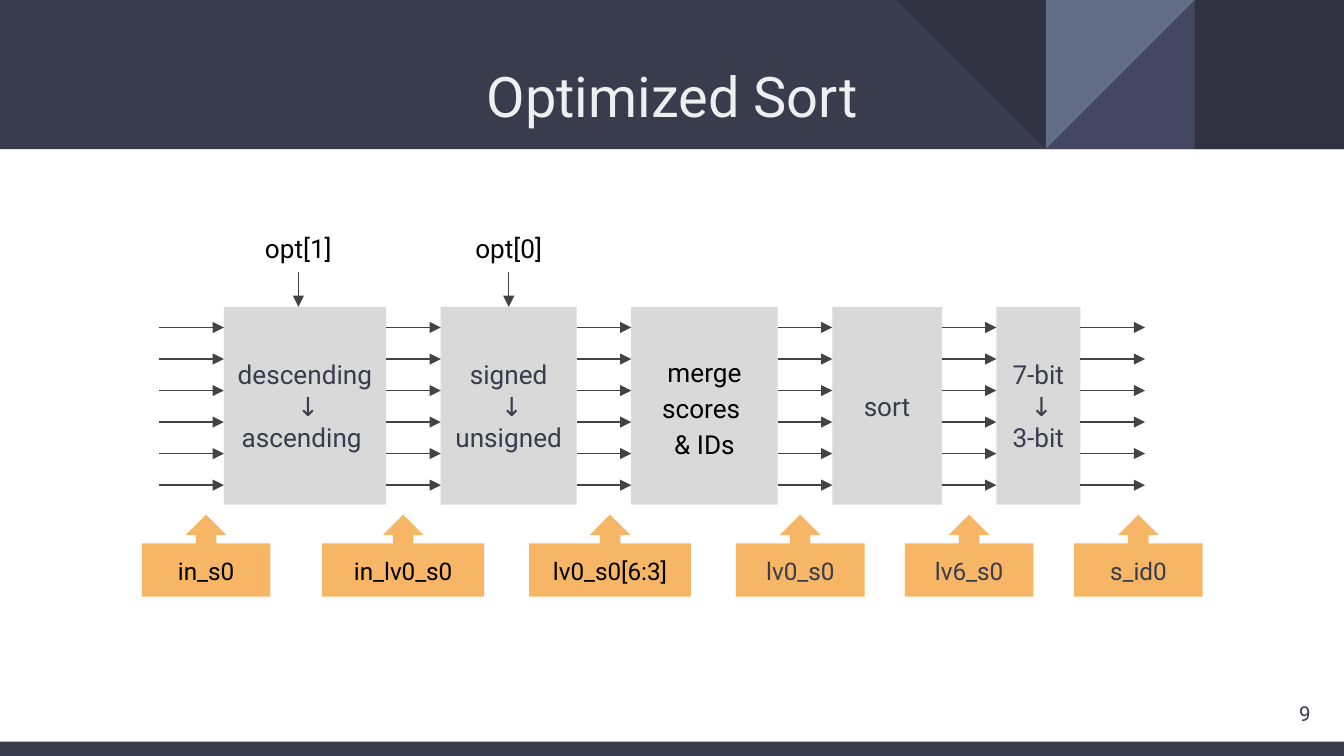
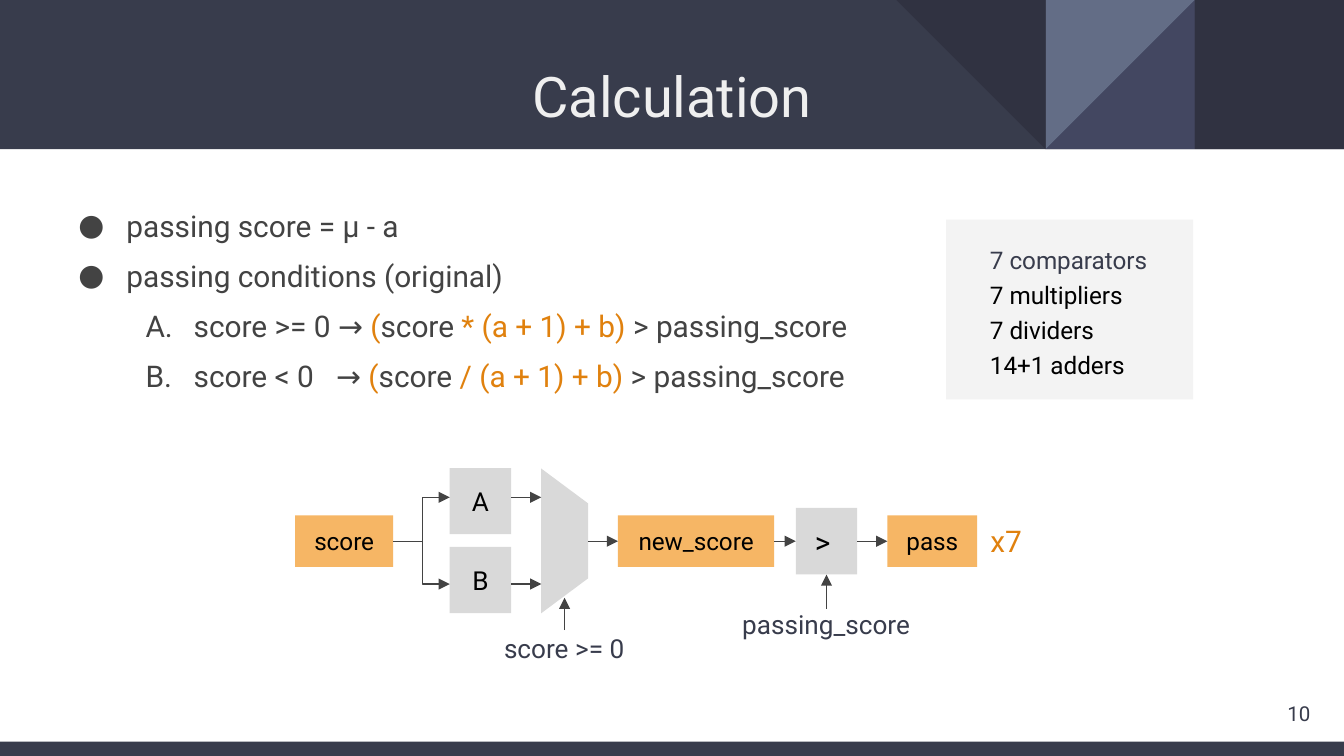
from dataclasses import dataclass
from typing import Optional

from lxml import etree
from pptx import Presentation
from pptx.dml.color import RGBColor
from pptx.enum import shapes, text
from pptx.oxml import ns
from pptx.util import Cm, Pt

FONT = "Roboto"
NAVY, DARK, PURPLE, STEEL = "383C4C", "303241", "434761", "636D86"
ORANGE, ACCENT, GREY, PALE = "F6B665", "E0810E", "D9D9D9", "F3F3F3"
INK, BLACK, TITLE = "434343", "000000", "EFEFEF"
WIDTH, HEIGHT, BAND = 25.4, 14.29, 2.82
KIND = shapes.MSO_SHAPE
CENTER, LEFT, RIGHT = text.PP_ALIGN.CENTER, text.PP_ALIGN.LEFT, text.PP_ALIGN.RIGHT
TOP, MIDDLE = text.MSO_ANCHOR.TOP, text.MSO_ANCHOR.MIDDLE
SIDE_TOP, SIDE_LEFT, SIDE_BOTTOM, SIDE_RIGHT = range(4)


@dataclass
class Box:
    """Place in centimetres."""
    left: float
    top: float
    width: float
    height: float

    @property
    def right(self) -> float:
        return self.left + self.width

    @property
    def bottom(self) -> float:
        return self.top + self.height

    @property
    def center(self) -> float:
        return self.left + self.width / 2

    @property
    def middle(self) -> float:
        return self.top + self.height / 2

    def lengths(self) -> tuple:
        return Cm(self.left), Cm(self.top), Cm(self.width), Cm(self.height)


@dataclass
class Style:
    size: float = 14
    color: str = BLACK
    align: int = CENTER
    anchor: int = MIDDLE
    spacing: float = 1.0


@dataclass
class Stage:
    lines: list
    width: float
    style: Style


@dataclass
class Signal:
    label: str
    left: float
    width: float
    color: str


@dataclass
class Option:
    label: str
    x: float


def rgb(color: str) -> RGBColor:
    return RGBColor.from_string(color)


def sub(parent, tag: str, **attributes: str):
    return etree.SubElement(parent, ns.qn(tag), attributes)


# Text and shapes
def set_font(font, size: float, color: str) -> None:
    font.name, font.size = FONT, Pt(size)
    font.color.rgb = rgb(color)


def write(shape, lines: list, style: Style) -> None:
    frame = shape.text_frame
    frame.word_wrap = True
    frame.auto_size = text.MSO_AUTO_SIZE.NONE
    frame.vertical_anchor = style.anchor
    frame.margin_left = frame.margin_right = Cm(0.25)
    frame.margin_top = frame.margin_bottom = Cm(0.25)
    for i, line in enumerate(lines):
        paragraph = frame.add_paragraph() if i else frame.paragraphs[0]
        paragraph.text = line
        paragraph.alignment = style.align
        paragraph.line_spacing = style.spacing
        set_font(paragraph.font, style.size, style.color)


def add_block(slide, kind: int, box: Box, fill: Optional[str],
              lines: Optional[list] = None, style: Optional[Style] = None):
    shape = slide.shapes.add_shape(kind, *box.lengths())
    shape.shadow.inherit = False
    if fill:
        shape.fill.solid()
        shape.fill.fore_color.rgb = rgb(fill)
        shape.line.fill.background()
    else:
        shape.fill.background()
        shape.line.color.rgb = rgb(INK)
        shape.line.width = Pt(0.75)
    if lines:
        write(shape, lines, style or Style())
    return shape


def add_label(slide, box: Box, label: str, style: Style) -> None:
    write(slide.shapes.add_textbox(*box.lengths()), [label], style)


def add_line(slide, start: tuple, end: tuple, head: bool = True,
             begin_at: Optional[tuple] = None, end_at: Optional[tuple] = None) -> None:
    line = slide.shapes.add_connector(shapes.MSO_CONNECTOR.STRAIGHT,
                                      *(Cm(v) for v in start + end))
    if begin_at:
        line.begin_connect(*begin_at)
    if end_at:
        line.end_connect(*end_at)
    line.line.color.rgb = rgb(INK)
    line.line.width = Pt(0.75)
    properties = line.element.spPr
    if head:
        sub(properties.find(ns.qn("a:ln")), "a:tailEnd", type="triangle")
    sub(properties, "a:effectLst")


# Shared look
def decorate_master(prs, slide) -> None:
    """Draw bands and corner pattern, then hand them to the master."""
    def square(columns: int) -> Box:
        return Box(WIDTH - columns * BAND, 0, BAND, BAND)

    pattern = [
        (KIND.RECTANGLE, Box(0, 0, WIDTH, BAND), NAVY, 0),
        (KIND.RECTANGLE, square(1), DARK, 0),
        (KIND.RIGHT_TRIANGLE, square(2), PURPLE, 270),
        (KIND.RIGHT_TRIANGLE, square(2), STEEL, 90),
        (KIND.RIGHT_TRIANGLE, square(3), DARK, 180),
        (KIND.RECTANGLE, Box(0, 14.02, WIDTH, 0.27), NAVY, 0),
    ]
    tree = prs.slide_master.shapes.element
    for i, (kind, box, fill, turn) in enumerate(pattern):
        part = add_block(slide, kind, box, fill)
        part.rotation = turn
        part.element.nvSpPr.cNvPr.set("id", str(100 + i))
        tree.insert(2 + i, part.element)


def place(placeholder, box: Box) -> None:
    (placeholder.left, placeholder.top,
     placeholder.width, placeholder.height) = box.lengths()


def start_slide(prs, layout: int, title: str, number: int):
    slide = prs.slides.add_slide(prs.slide_layouts[layout])
    place(slide.shapes.title, Box(0.87, 0.92, 23.67, 1.92))
    write(slide.shapes.title, [title], Style(30, TITLE, anchor=TOP))
    add_label(slide, Box(23.5, 12.93, 1.52, 1.09), str(number),
              Style(11, NAVY, RIGHT))
    return slide


# Slide: sorting pipeline
def build_sort(prs) -> None:
    slide = start_slide(prs, 5, "Optimized Sort", 9)
    decorate_master(prs, slide)
    gap, end_gap, stage_top, stage_height = 1.03, 1.22, 5.8, 3.74
    plain = Style(color=NAVY)
    stages = [
        Stage(["descending", " ↓", "ascending "], 3.07, plain),
        Stage(["signed", " ↓", "unsigned"], 2.57, plain),
        Stage(["merge", "scores ", "& IDs"], 2.77, Style(spacing=1.15)),
        Stage(["sort"], 2.07, plain),
        Stage(["7-bit", " ↓", "3-bit"], 1.59, plain),
    ]
    boxes, blocks, left = [], [], 4.23
    for stage in stages:
        box = Box(left, stage_top, stage.width, stage_height)
        blocks.append(add_block(slide, KIND.RECTANGLE, box, GREY,
                                stage.lines, stage.style))
        boxes.append(box)
        left = box.right + gap

    # Six data lanes through all stages
    starts = [boxes[0].left - end_gap] + [box.right for box in boxes]
    ends = [box.left for box in boxes] + [boxes[-1].right + end_gap]
    for start, end in zip(starts, ends):
        for lane in range(6):
            y = 6.19 + lane * 2.98 / 5
            add_line(slide, (start, y), (end, y))

    # Option inputs
    signed = boxes[1].center
    for option in (Option("opt[1]", 5.64), Option("opt[0]", signed)):
        joined = (blocks[1], SIDE_TOP) if option.x == signed else None
        add_line(slide, (option.x, 5.14), (option.x, stage_top), end_at=joined)
        add_label(slide, Box(option.x - 1.04, 4.14, 2.08, 1.12),
                  option.label, Style(anchor=TOP))

    # Signal names
    for signal in (
        Signal("in_s0", 2.68, 2.43, BLACK),
        Signal("in_lv0_s0", 6.09, 3.06, BLACK),
        Signal("lv0_s0[6:3]", 10, 3.06, BLACK),
        Signal("lv0_s0", 13.91, 2.43, NAVY),
        Signal("lv6_s0", 17.1, 2.43, NAVY),
        Signal("s_id0", 20.3, 2.43, NAVY),
    ):
        callout = add_block(slide, KIND.UP_ARROW_CALLOUT,
                            Box(signal.left, 9.73, signal.width, 1.55), ORANGE,
                            [signal.label], Style(13, signal.color, anchor=TOP))
        for i, value in enumerate((0.25, 0.25, 0.25, 0.65)):
            callout.adjustments[i] = value


# Slide: passing score
def write_conditions(body) -> None:
    place(body, Box(0.87, 3.4, 23.67, 4.45))
    write(body, [""] * 4, Style(16, INK, LEFT, TOP, 1.4))
    rest = " > passing_score"
    contents = [
        [("passing score = μ - a", INK)],
        [("passing conditions (original)", INK)],
        [("score >= 0 → ", INK), ("(", ACCENT), ("score", INK),
         (" * (a + 1) + b)", ACCENT), (rest, INK)],
        [("score < 0", INK), (" ", INK), ("→ ", INK), ("(", ACCENT),
         ("score", INK), (" / (a + 1) + b)", ACCENT), (rest, INK)],
    ]
    for i, (paragraph, pieces) in enumerate(zip(body.text_frame.paragraphs, contents)):
        paragraph.level = i // 2
        paragraph.space_before = Pt(0)
        for words, color in pieces:
            run = paragraph.add_run()
            run.text = words
            run.font.color.rgb = rgb(color)
            if words == " ":  # wide gap that lines up the two arrows
                run.font.size = Pt(16)
                run.font.element.set("spc", "800") if hasattr(run.font, "element") \
                    else run._r.get_or_add_rPr().set("spc", "800")
        properties = paragraph._p.get_or_add_pPr()
        properties.set("marL", str(Cm(1.27 * (1 + paragraph.level))))
        properties.set("indent", str(Cm(-0.91)))
        defaults = properties.find(ns.qn("a:defRPr"))
        sub(sub(properties, "a:buClr"), "a:srgbClr", val=INK)
        sub(properties, "a:buFont", typeface=FONT)
        if paragraph.level:
            sub(properties, "a:buAutoNum", type="alphaUcPeriod")
        else:
            sub(properties, "a:buChar", char="●")
        properties.append(defaults)


def build_calculation(prs) -> None:
    slide = start_slide(prs, 1, "Calculation", 10)
    write_conditions(slide.placeholders[1])

    # Hardware cost
    cost = add_block(slide, KIND.RECTANGLE, Box(17.88, 4.15, 4.67, 3.4), PALE,
                     ["7 comparators", "7 multipliers", "7 dividers", "14+1 adders"],
                     Style(13, BLACK, LEFT, spacing=1.2))
    cost.text_frame.margin_left = Cm(0.83)
    cost.text_frame.paragraphs[0].font.color.rgb = rgb(NAVY)

    # Data path blocks
    axis, upper, lower = 10.23, 9.4, 11.04

    def on_axis(left: float, width: float, height: float) -> Box:
        return Box(left, axis - height / 2, width, height)

    def value(label: str, box: Box):
        return add_block(slide, KIND.RECTANGLE, box, ORANGE, [label], Style(13))

    score_box, new_box = on_axis(5.58, 1.85, 0.97), on_axis(11.68, 2.95, 0.97)
    pass_box, compare_box = on_axis(16.77, 1.7, 0.97), on_axis(15.04, 1.16, 1.26)
    score, new_score = value("score", score_box), value("new_score", new_box)
    passed = value("pass", pass_box)
    compare = add_block(slide, KIND.RECTANGLE, compare_box, GREY, ["> "], Style(16))
    for label, top in (("A", 8.85), ("B", 10.34)):
        add_block(slide, KIND.RECTANGLE, Box(8.5, top, 1.16, 1.25), GREY, [label])
    mux = add_block(slide, KIND.TRAPEZOID, Box(9.3, 9.78, 2.74, 0.89), GREY)
    mux.rotation = 90
    mux.adjustments[0] = 0.744

    # Branches into A and B, then the multiplexer
    add_line(slide, (score_box.right, axis), (7.98, axis), head=False,
             begin_at=(score, SIDE_RIGHT))
    fork = add_block(slide, KIND.LEFT_BRACKET, Box(7.98, upper, 0.48, lower - upper), None)
    fork.adjustments[0] = 0
    for y in (upper, lower):
        add_line(slide, (8.03, y), (8.5, y))
        add_line(slide, (9.66, y), (10.23, y))
    add_line(slide, (11.11, axis), (new_box.left, axis), end_at=(new_score, SIDE_LEFT))
    add_line(slide, (new_box.right, axis), (compare_box.left, axis),
             begin_at=(new_score, SIDE_RIGHT), end_at=(compare, SIDE_LEFT))
    add_line(slide, (compare_box.right, axis), (pass_box.left, axis),
             begin_at=(compare, SIDE_RIGHT), end_at=(passed, SIDE_LEFT))

    # Control inputs
    add_line(slide, (10.67, 11.91), (10.67, 11.3))
    add_line(slide, (compare_box.center, 11.51), (compare_box.center, compare_box.bottom),
             end_at=(compare, SIDE_BOTTOM))
    caption = Style(color=NAVY, anchor=TOP)
    add_label(slide, Box(8.99, 11.71, 3.35, 1.12), "score >= 0", caption)
    add_label(slide, Box(13.28, 11.25, 4.67, 1.12), "passing_score", caption)
    add_label(slide, Box(18.47, 9.63, 1.37, 1.19), "x7", Style(16, ACCENT, LEFT, TOP))


def main() -> None:
    prs = Presentation()
    prs.slide_width, prs.slide_height = Cm(WIDTH), Cm(HEIGHT)
    build_sort(prs)
    build_calculation(prs)
    prs.save("out.pptx")


if __name__ == "__main__":
    main()
